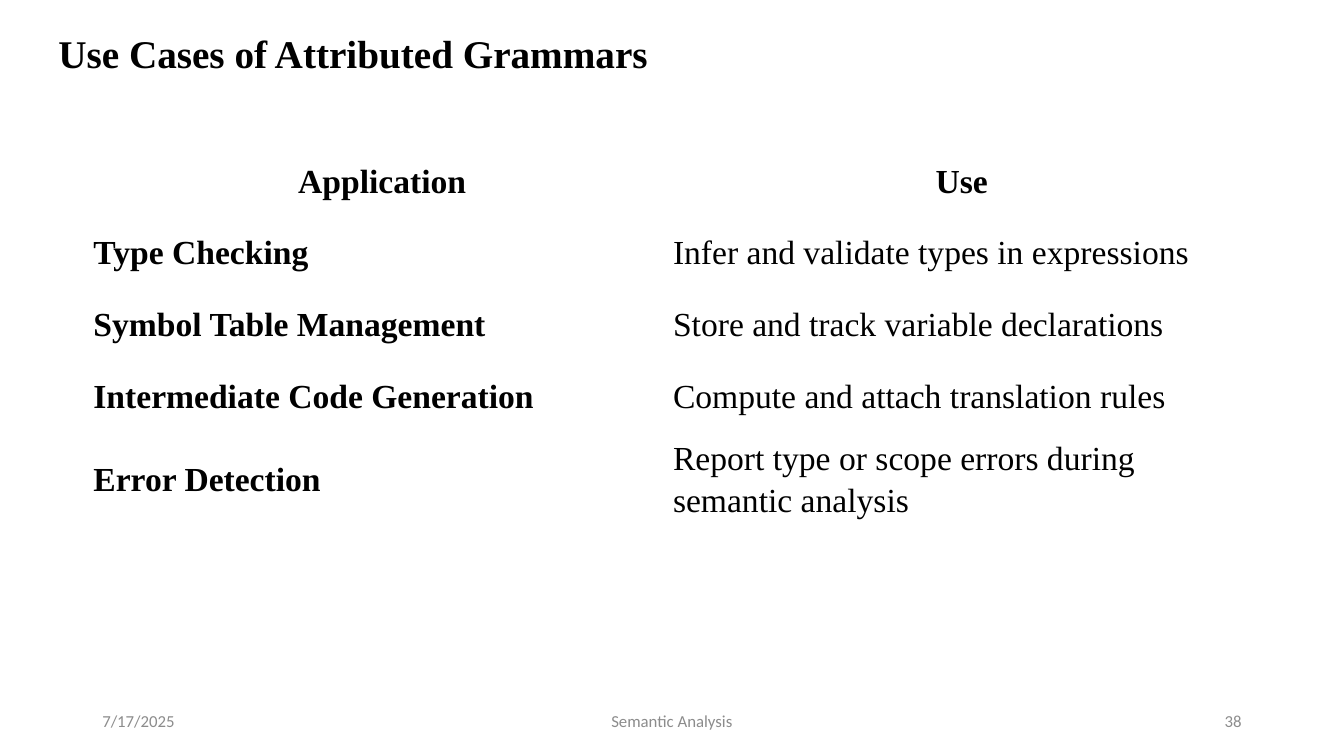
import dataclasses

import pptx
import pptx.dml.color
import pptx.enum.text
import pptx.util

Pt = pptx.util.Pt
Align = pptx.enum.text.PP_ALIGN
Anchor = pptx.enum.text.MSO_ANCHOR
AutoSize = pptx.enum.text.MSO_AUTO_SIZE

BLACK = pptx.dml.color.RGBColor(0x00, 0x00, 0x00)
GREY = pptx.dml.color.RGBColor(0x8C, 0x8C, 0x8C)
SERIF = "Times New Roman"
SANS = "Calibri"

TABLE_LEFT, TABLE_TOP = 66, 102.4
COLUMN_WIDTH, ROW_HEIGHT = 414, 51.2
CELL_MARGIN = 0.75
FOOTER_TOP, FOOTER_HEIGHT = 500.5, 28.75


@dataclasses.dataclass
class FooterItem:
    text: str
    left: float
    width: float
    align: Align


HEADINGS = ("Application", "Use")
USE_CASES = (
    ("Type Checking", "Infer and validate types in expressions"),
    ("Symbol Table Management", "Store and track variable declarations"),
    ("Intermediate Code Generation", "Compute and attach translation rules"),
    ("Error Detection", "Report type or scope errors during semantic analysis"),
)
FOOTER = (
    FooterItem("7/17/2025", 66, 216, Align.LEFT),
    FooterItem("Semantic Analysis", 318, 324, Align.CENTER),
    FooterItem("38", 678, 216, Align.RIGHT),
)


def write_text(frame, text: str, *, size: float, font: str = SERIF,
               color=BLACK, bold: bool = False, align=Align.LEFT,
               line_spacing: float = 1.0, space_after: float = 0) -> None:
    para = frame.paragraphs[0]
    para.alignment = align
    para.line_spacing = line_spacing
    para.space_after = Pt(space_after)
    span = para.add_run()
    span.text = text
    span.font.name = font
    span.font.size = Pt(size)
    span.font.bold = bold
    span.font.color.rgb = color


def add_frame(page, left: float, top: float, width: float, height: float):
    box = page.shapes.add_textbox(Pt(left), Pt(top), Pt(width), Pt(height))
    box.text_frame.word_wrap = True
    return box.text_frame


def add_title(page) -> None:
    frame = add_frame(page, 34.6, 17.3, 480, 41)
    frame.auto_size = AutoSize.SHAPE_TO_FIT_TEXT
    write_text(frame, "Use Cases of Attributed Grammars", size=28, bold=True)


def add_use_case_table(page) -> None:
    rows = (HEADINGS, *USE_CASES)
    table = page.shapes.add_table(
        len(rows), len(HEADINGS), Pt(TABLE_LEFT), Pt(TABLE_TOP),
        Pt(COLUMN_WIDTH * len(HEADINGS)), Pt(ROW_HEIGHT * len(rows))).table
    table.first_row = False
    table.horz_banding = False
    for row_index, texts in enumerate(rows):
        is_heading = row_index == 0
        for column_index, text in enumerate(texts):
            cell = table.cell(row_index, column_index)
            cell.fill.background()
            cell.vertical_anchor = Anchor.MIDDLE
            cell.margin_left = cell.margin_right = Pt(CELL_MARGIN)
            cell.margin_top = cell.margin_bottom = Pt(CELL_MARGIN)
            write_text(cell.text_frame, text, size=24,
                       bold=is_heading or column_index == 0,
                       align=Align.CENTER if is_heading else Align.LEFT,
                       line_spacing=1.15, space_after=8)


def add_footer(page) -> None:
    for item in FOOTER:
        frame = add_frame(page, item.left, FOOTER_TOP, item.width, FOOTER_HEIGHT)
        frame.vertical_anchor = Anchor.MIDDLE
        write_text(frame, item.text, size=12, font=SANS, color=GREY,
                   align=item.align)


def main() -> None:
    deck = pptx.Presentation()
    deck.slide_width, deck.slide_height = Pt(960), Pt(540)
    page = deck.slides.add_slide(deck.slide_layouts[6])  # blank layout
    add_title(page)
    add_use_case_table(page)
    add_footer(page)
    deck.save("out.pptx")


if __name__ == "__main__":
    main()
